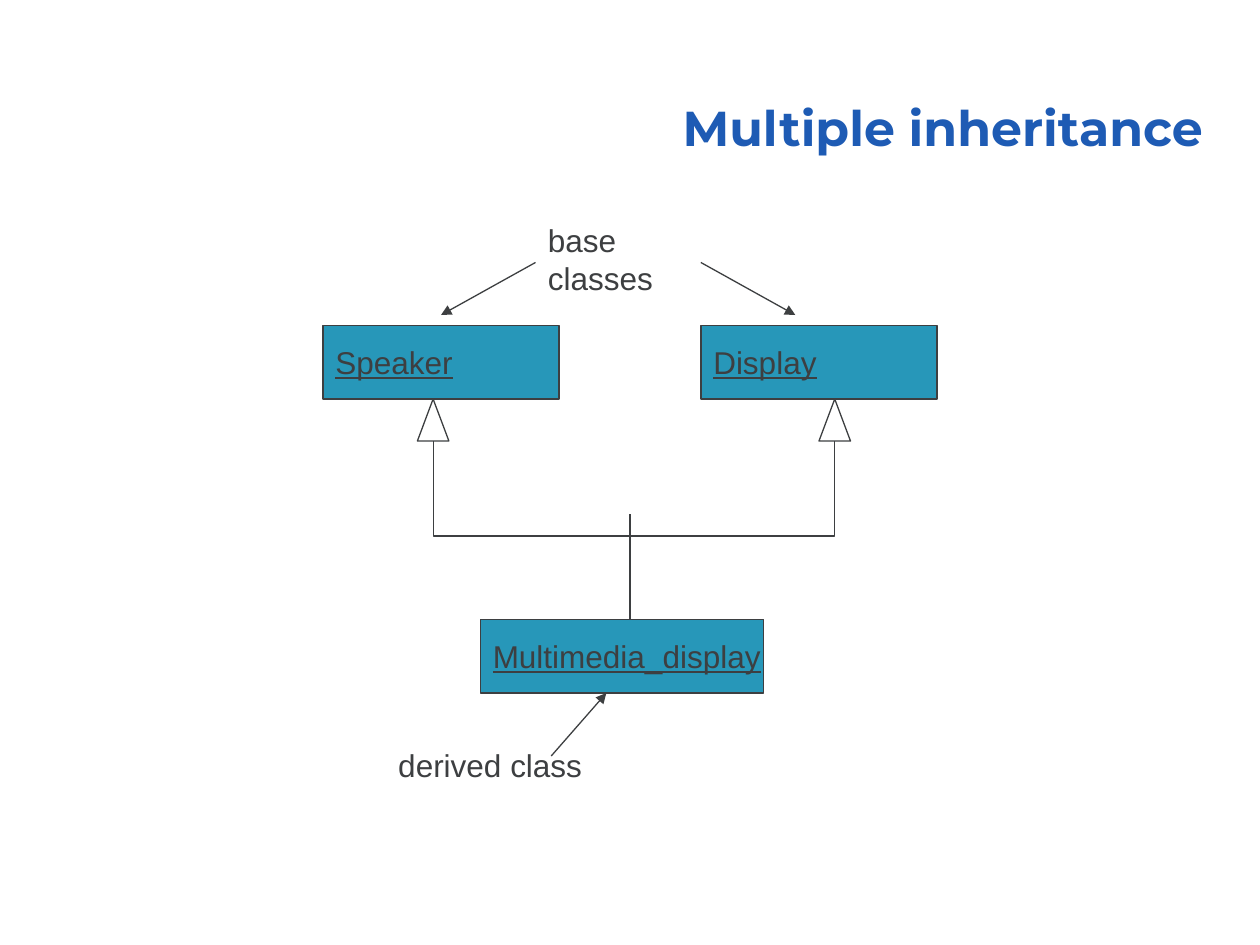
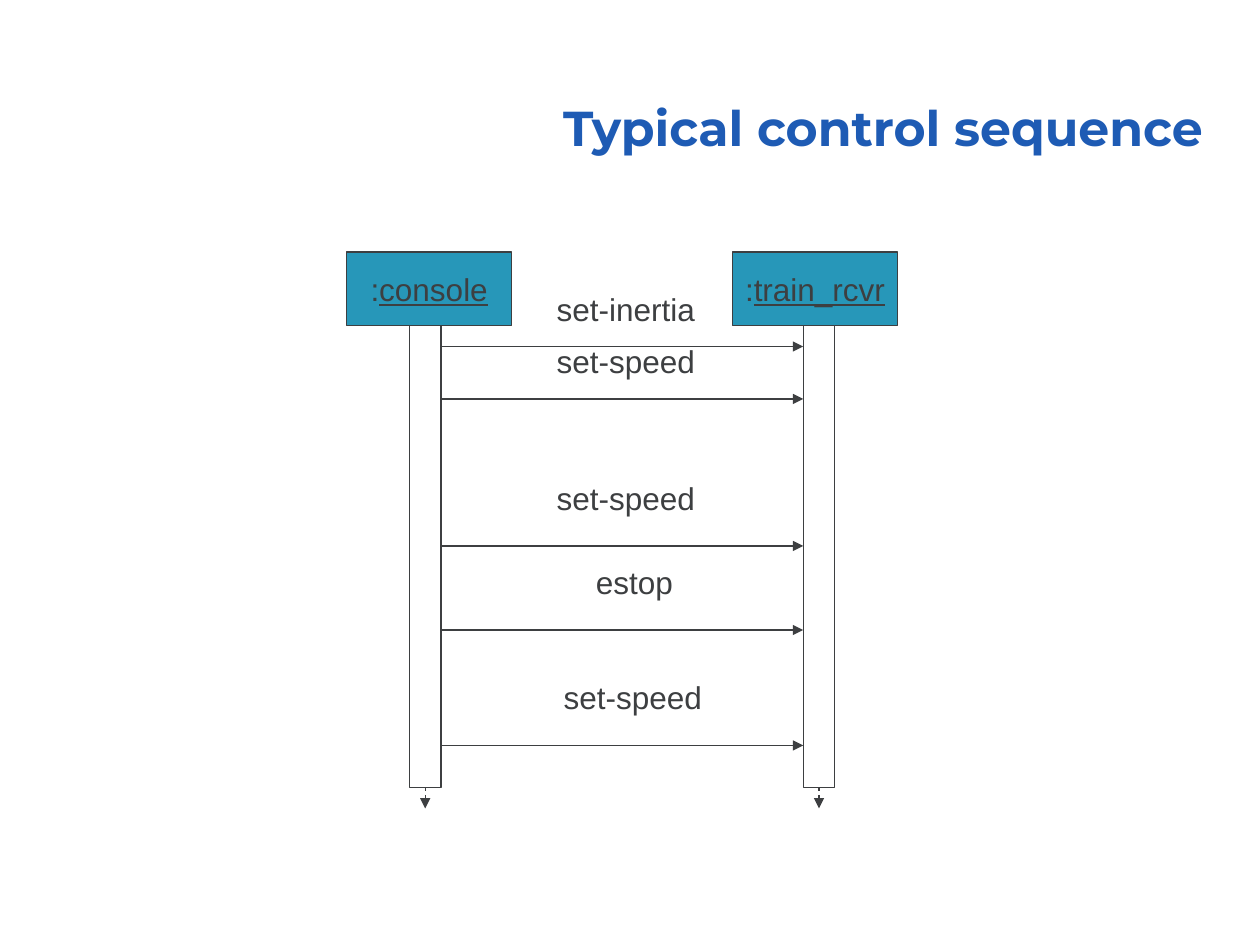
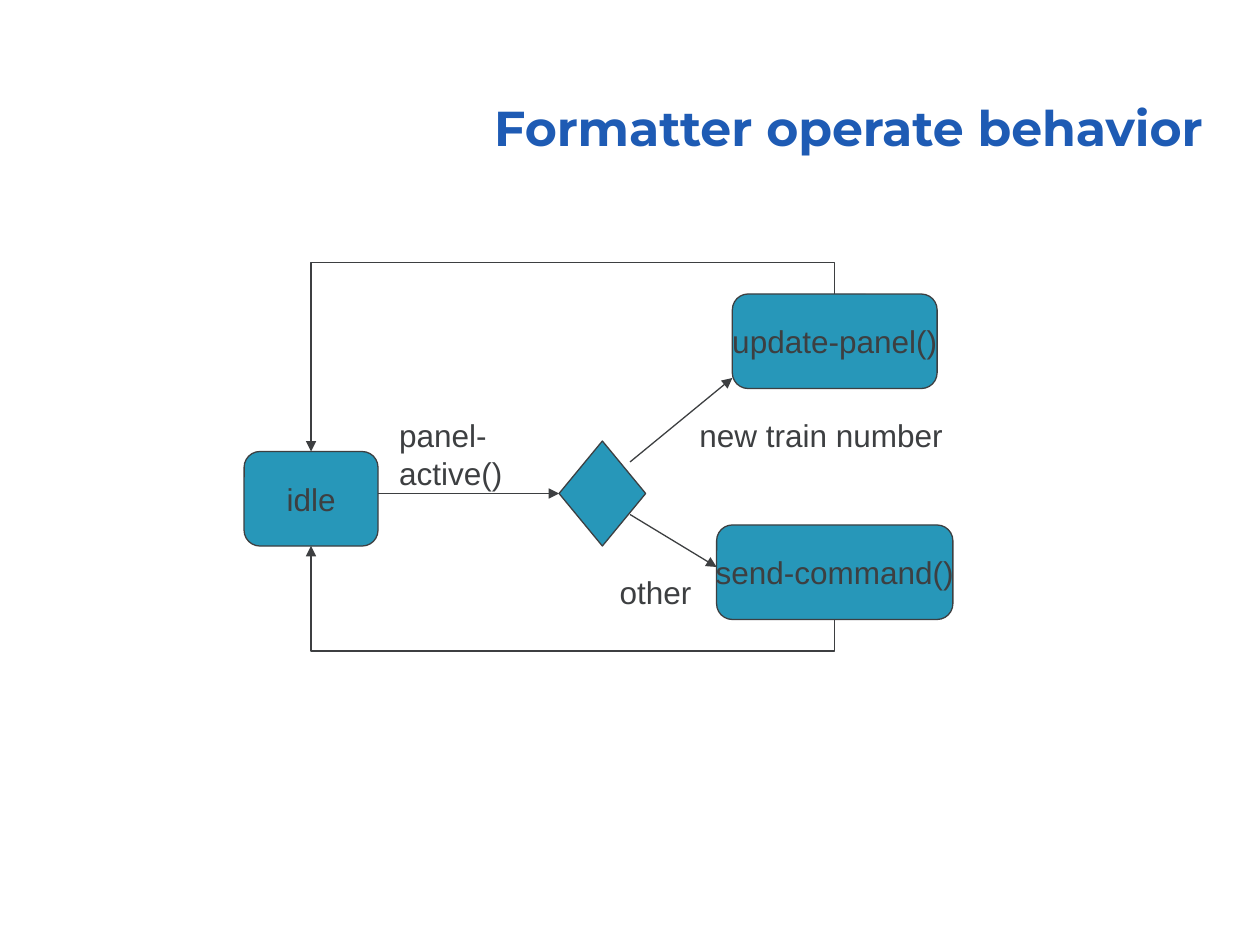
from lxml.etree import SubElement
from pptx import Presentation
from pptx.dml.color import RGBColor
from pptx.enum.dml import MSO_LINE as Dash
from pptx.enum.shapes import MSO_CONNECTOR as Link, MSO_SHAPE as Form
from pptx.enum.text import MSO_ANCHOR as Anchor, MSO_AUTO_SIZE as Fit, PP_ALIGN as Align
from pptx.oxml.ns import qn
from pptx.util import Pt

BLUE, TEAL, INK, WHITE = "1E5BB4", "2797B9", "3D3F41", "FFFFFF"
TITLE = dict(name="Montserrat", size=Pt(28), bold=True)
BODY = dict(name="Arial", size=Pt(18))
TITLE_AT = (211.5, 38, 483, 55.5)
LABEL_H = 29

# Multiple inheritance: (name, left, top, width)
CLASSES = [("Speaker", 184.5, 186, 135), ("Display", 400.5, 186, 135),
           ("Multimedia_display", 274.5, 354, 162)]
CLASS_H = 42
TIPS = (247.5, 477)
TIP_W, TIP_H = 18, 24
RAIL = 306.75
ROLES = [("base classes", 306, 123, 118), ("derived class", 220.5, 423, 119.5)]
POINTERS = [((306, 150), (252, 180)), ((400.5, 150), (454.5, 180)),
            ((315, 432), (346.5, 396))]

# Typical control sequence
OBJECTS = [("console", 198), ("train_rcvr", 418.5)]
OBJ_TOP, OBJ_W, OBJ_H = 144, 94.5, 42
LIVES = (243, 468)
BAR_W, BAR_H, LIFE_H = 18, 264, 276
# (message, label left, label width, label rise, arrow y)
CALLS = [("set-inertia", 311, 93.5, 36, 198), ("set-speed", 311, 93.5, 36, 228),
         ("set-speed", 311, 93.5, 42, 312), ("estop", 333.5, 58.5, 42, 360),
         ("set-speed", 315, 93.5, 42, 426)]

# Formatter operate behavior
STATES = [("idle", 139.5, 258, 76.5), ("update-panel()", 418.5, 168, 117),
          ("send-command()", 409.5, 300, 135)]
STATE_H = 54
CHOICE = (319.5, 252, 49.5, 60)
EVENTS = [("panel-active()", 221, 234, 123), ("new train number", 392.5, 234, 153.5),
          ("other", 347, 324, 55.5)]
BRANCHES = [((360, 264), (418.5, 216)), ((360, 294), (409.5, 324))]
# (from, to, y of the level run)
RETURNS = [((477, 354), (177.75, 312), 372), ((477, 168), (177.75, 258), 150)]


def tint(part, color):
    part.rgb = RGBColor.from_string(color)


def pts(*nums):
    return [Pt(num) for num in nums]


def style(font, look, color):
    for key, val in look.items():
        setattr(font, key, val)
    tint(font.color, color)


def write(frame, runs, align=Align.LEFT):
    """Fill a frame with (text, underlined) runs on one line."""
    frame.word_wrap = False
    para = frame.paragraphs[0]
    para.alignment = align
    for text, under in runs:
        run = para.add_run()
        run.text = text
        style(run.font, BODY, INK)
        if under:
            run.font.underline = True


def pen(line):
    line.fill.solid()
    tint(line.fill.fore_color, INK)
    line.width = Pt(0.75)


def block(slide, form, at, fill=TEAL, runs=(), align=Align.CENTER):
    shape = slide.shapes.add_shape(form, *pts(*at))
    shape.shadow.inherit = False
    shape.fill.solid()
    tint(shape.fill.fore_color, fill)
    pen(shape.line)
    if runs:
        shape.text_frame.vertical_anchor = Anchor.MIDDLE
        write(shape.text_frame, runs, align)
    return shape


def label(slide, text, left, top, width):
    frame = slide.shapes.add_textbox(*pts(left, top, width, LABEL_H)).text_frame
    write(frame, [(text, False)])
    frame.auto_size = Fit.SHAPE_TO_FIT_TEXT


def link(slide, start, end, arrow=True, kind=Link.STRAIGHT, dash=None):
    wire = slide.shapes.add_connector(kind, *pts(*start, *end))
    pen(wire.line)
    if dash:
        wire.line.dash_style = dash
    props = wire.element.spPr
    if arrow:
        SubElement(props.find(qn("a:ln")), qn("a:tailEnd"), type="triangle")
    SubElement(props, qn("a:effectLst"))
    return wire


def bend(slide, start, end, rail, arrow=True):
    """Run leftwards from start to end by way of a level stretch at y = rail.

    The elbow is laid out sideways about its centre, then turned upright.
    """
    (x1, y1), (x2, y2) = start, end
    rise = y2 - y1 or 0.2
    mid_x, mid_y = (x1 + x2) / 2, y1 + rise / 2
    half_w, half_h = abs(rise) / 2, (x1 - x2) / 2
    if rise < 0:
        half_h = -half_h
    wire = link(slide, (mid_x - half_w, mid_y - half_h),
                (mid_x + half_w, mid_y + half_h), arrow, Link.ELBOW)
    wire.rotation = 90 if rise > 0 else 270
    geom = wire.element.spPr.find(qn("a:prstGeom"))
    guides = geom.find(qn("a:avLst"))
    if guides is None:
        guides = SubElement(geom, qn("a:avLst"))
    ratio = round((rail - y1) / rise * 100000)
    SubElement(guides, qn("a:gd"), name="adj1", fmla=f"val {ratio}")


def start_slide(deck, text):
    slide = deck.slides.add_slide(deck.slide_layouts[5])
    title = slide.shapes.title
    title.left, title.top, title.width, title.height = pts(*TITLE_AT)
    frame = title.text_frame
    frame.text = text
    frame.auto_size = Fit.NONE
    frame.vertical_anchor = Anchor.BOTTOM
    para = frame.paragraphs[0]
    para.alignment, para.line_spacing = Align.RIGHT, 0.9
    style(para.runs[0].font, TITLE, BLUE)
    return slide


def draw_classes(deck):
    slide = start_slide(deck, "Multiple inheritance")
    for name, left, top, width in CLASSES:
        block(slide, Form.RECTANGLE, (left, top, width, CLASS_H),
              runs=[(name, True)], align=Align.LEFT)
    top = CLASSES[0][2] + CLASS_H
    for mid in TIPS:
        block(slide, Form.ISOSCELES_TRIANGLE, (mid - TIP_W / 2, top, TIP_W, TIP_H), WHITE)
    base = top + TIP_H
    bend(slide, (TIPS[1], base), (TIPS[0], base), RAIL, arrow=False)
    link(slide, (360, 294), (360, 354), arrow=False)
    for role in ROLES:
        label(slide, *role)
    for start, end in POINTERS:
        link(slide, start, end)


def draw_sequence(deck):
    slide = start_slide(deck, "Typical control sequence")
    for name, left in OBJECTS:
        block(slide, Form.RECTANGLE, (left, OBJ_TOP, OBJ_W, OBJ_H),
              runs=[(":", False), (name, True)])
    top = OBJ_TOP + OBJ_H
    for mid in LIVES:
        life = link(slide, (mid, top), (mid, top + LIFE_H), dash=Dash.DASH)
        bar = block(slide, Form.RECTANGLE, (mid - BAR_W / 2, top, BAR_W, BAR_H), WHITE)
        life.begin_connect(bar, 0)
    for text, left, width, lift, y in CALLS:
        label(slide, text, left, y - lift, width)
        link(slide, (LIVES[0] + BAR_W / 2, y), (LIVES[1] - BAR_W / 2, y))


def draw_states(deck):
    slide = start_slide(deck, "Formatter operate behavior")
    for name, left, top, width in STATES:
        block(slide, Form.ROUNDED_RECTANGLE, (left, top, width, STATE_H),
              runs=[(name, False)])
    choice = block(slide, Form.DIAMOND, CHOICE)
    for event in EVENTS:
        label(slide, *event)
    link(slide, (216, 282), (319.5, 282)).end_connect(choice, 1)
    for start, end in BRANCHES:
        link(slide, start, end)
    for start, end, rail in RETURNS:
        bend(slide, start, end, rail)


def main():
    deck = Presentation()
    deck.slide_width, deck.slide_height = pts(720, 540)
    for draw in (draw_classes, draw_sequence, draw_states):
        draw(deck)
    deck.save("out.pptx")


if __name__ == "__main__":
    main()
